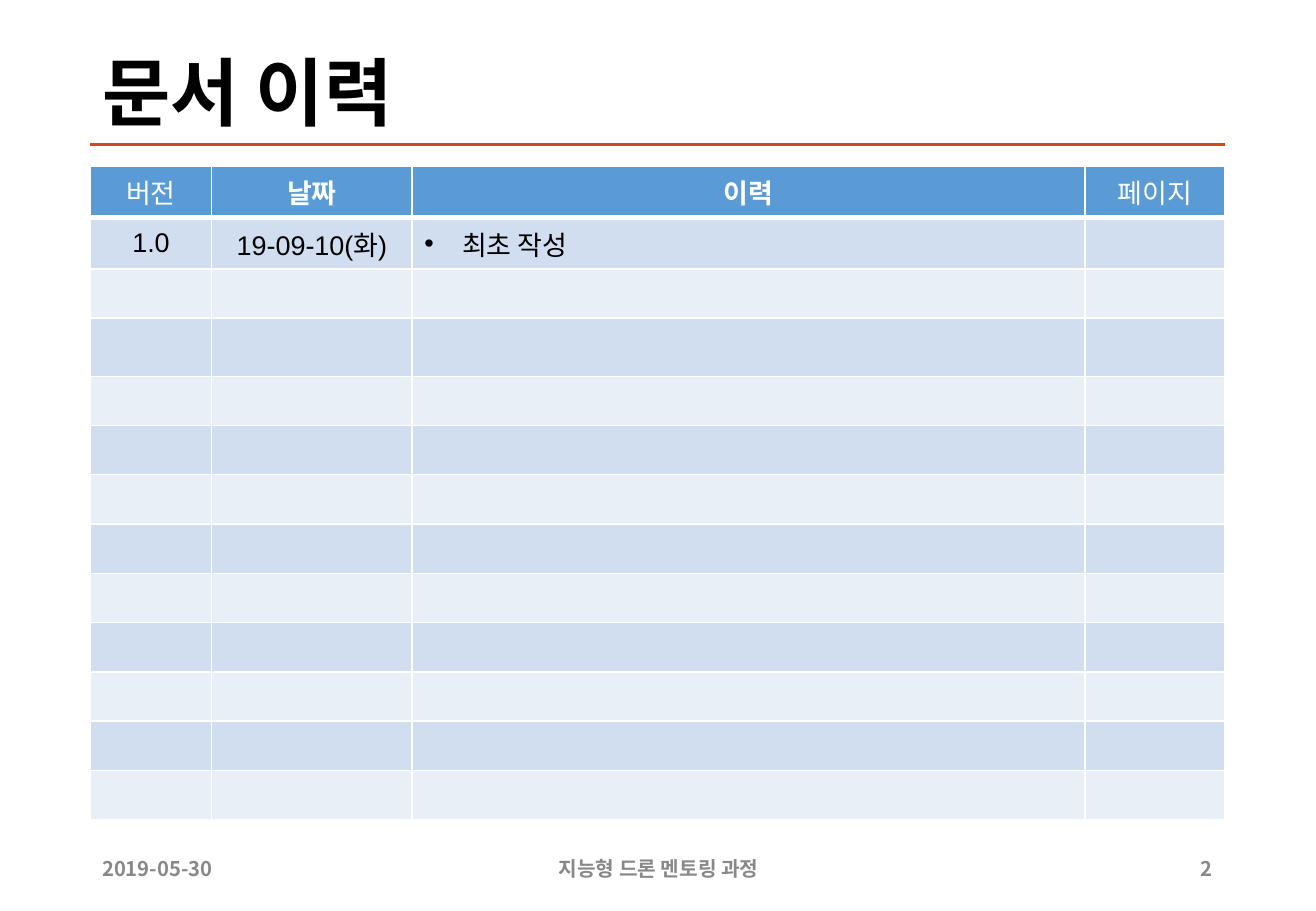
from pptx import Presentation
from pptx.dml.color import RGBColor as Rgb
from pptx.enum.shapes import MSO_CONNECTOR as Connector
from pptx.enum.text import MSO_ANCHOR as Anchor, MSO_AUTO_SIZE as AutoSize, PP_ALIGN as Align
from pptx.oxml.ns import qn
from pptx.util import Pt
from lxml.etree import SubElement, Element

COLORS = {"rule": "D24726", "title": "000000", "footer": "888888", "header": "5B9BD5",
          "header_text": "FFFFFF", "text": "000000", "odd": "D0DEEF", "even": "E9EFF7",
          "border": "FFFFFF"}
KOREAN = "Noto Sans CJK KR"
STYLES = {
    "title": {"name": "Times New Roman", "size": Pt(44), "bold": True},
    "footer": {"name": KOREAN, "size": Pt(12), "bold": True},
    "header_text": {"name": "Arial", "size": Pt(16), "bold": True},
    "text": {"name": "Arial", "size": Pt(16), "bold": False},
}
HEADERS = {"버전": False, "날짜": True, "이력": True, "페이지": False}
ENTRY = ["1.0", "19-09-10(화)", "최초 작성"]
COLUMNS = [72, 118.8, 398.9, 82.8]
ROWS = [28.4] * 3 + [34.5] + [28.4] * 9


def write(frame, text, style, align):
    """Put one styled paragraph into a text frame and return it."""
    frame.word_wrap = True
    para = frame.paragraphs[0]
    para.alignment = align
    span = para.add_run()
    span.text = text
    for key, value in STYLES[style].items():
        setattr(span.font, key, value)
    span.font.color.rgb = Rgb.from_string(COLORS[style])
    SubElement(span.font._element, qn("a:ea"), typeface=KOREAN)
    return para


def place(shape, box):
    """Move and size a shape to a box given in points."""
    for key, value in zip(("left", "top", "width", "height"), box):
        setattr(shape, key, Pt(value))


def add_heading(page, box):
    """Fill the title and draw the rule along its lower edge."""
    left, top, width, height = box
    title = page.shapes.title
    place(title, box)
    frame = title.text_frame
    frame.auto_size = AutoSize.NONE
    frame.vertical_anchor = Anchor.MIDDLE
    write(frame, "문서 이력", "title", Align.LEFT).line_spacing = 0.9
    bottom = top + height
    rule = page.shapes.add_connector(Connector.STRAIGHT, Pt(left), Pt(bottom),
                                     Pt(left + width), Pt(bottom))
    rule.line.width = Pt(2)
    rule.line.color.rgb = Rgb.from_string(COLORS["rule"])
    SubElement(rule._element.spPr, qn("a:effectLst"))


def set_borders(cell, row):
    """Give a cell white borders, thick below the header row."""
    widths = {"L": 1, "R": 1, "T": 3 if row == 1 else 1, "B": 3 if row == 0 else 1}
    for index, (side, width) in enumerate(widths.items()):
        edge = Element(qn(f"a:ln{side}"), w=str(Pt(width)))
        fill = SubElement(edge, qn("a:solidFill"))
        SubElement(fill, qn("a:srgbClr"), val=COLORS["border"])
        cell._tc.get_or_add_tcPr().insert(index, edge)


def add_bullet(para):
    """Turn a paragraph into a bulleted item with a hanging indent."""
    props = para._p.get_or_add_pPr()
    props.set("marL", str(Pt(22.5)))
    props.set("indent", str(Pt(-22.5)))
    SubElement(props, qn("a:buFont"), typeface="Arial")
    SubElement(props, qn("a:buChar"), char="•")


def add_history(page, box):
    """Build the banded table of document versions."""
    table = page.shapes.add_table(len(ROWS), len(COLUMNS), *map(Pt, box)).table
    table.horz_banding = False
    for column, width in zip(table.columns, COLUMNS):
        column.width = Pt(width)
    for index, (row, height) in enumerate(zip(table.rows, ROWS)):
        row.height = Pt(height)
        band = "header" if index == 0 else ("even", "odd")[index % 2]
        for cell in row.cells:
            cell.fill.solid()
            cell.fill.fore_color.rgb = Rgb.from_string(COLORS[band])
            cell.vertical_anchor = Anchor.MIDDLE
            set_borders(cell, index)
    for cell, (text, bold) in zip(table.rows[0].cells, HEADERS.items()):
        para = write(cell.text_frame, text, "header_text", Align.CENTER)
        para.runs[0].font.bold = bold
    aligns = [Align.CENTER, Align.CENTER, Align.LEFT]
    for cell, text, align in zip(table.rows[1].cells, ENTRY, aligns):
        para = write(cell.text_frame, text, "text", align)
    add_bullet(para)


def add_footer(page, box):
    """Set date, course name and page number along the bottom."""
    left, top, width, height = box
    parts = [("2019-05-30", 0, 91.4, Align.LEFT),
             ("지능형 드론 멘토링 과정", 205.2, 263.5, Align.CENTER),
             ("2", width - 38.2, 38.2, Align.RIGHT)]
    for text, offset, part_width, align in parts:
        label = page.shapes.add_textbox(Pt(left + offset), Pt(top), Pt(part_width), Pt(height))
        label.text_frame.vertical_anchor = Anchor.MIDDLE
        write(label.text_frame, text, "footer", align)


def main():
    """Build the document history slide and save the deck."""
    deck = Presentation()
    deck.slide_width, deck.slide_height = Pt(780), Pt(540)
    page = deck.slides.add_slide(deck.slide_layouts[5])
    left, width = 53.5, 672.5
    add_heading(page, (left, 28.8, width, 56.9))
    add_history(page, (left, 98.8, width, sum(ROWS)))
    add_footer(page, (left, 500.4, width, 28.8))
    deck.save("out.pptx")


main()
